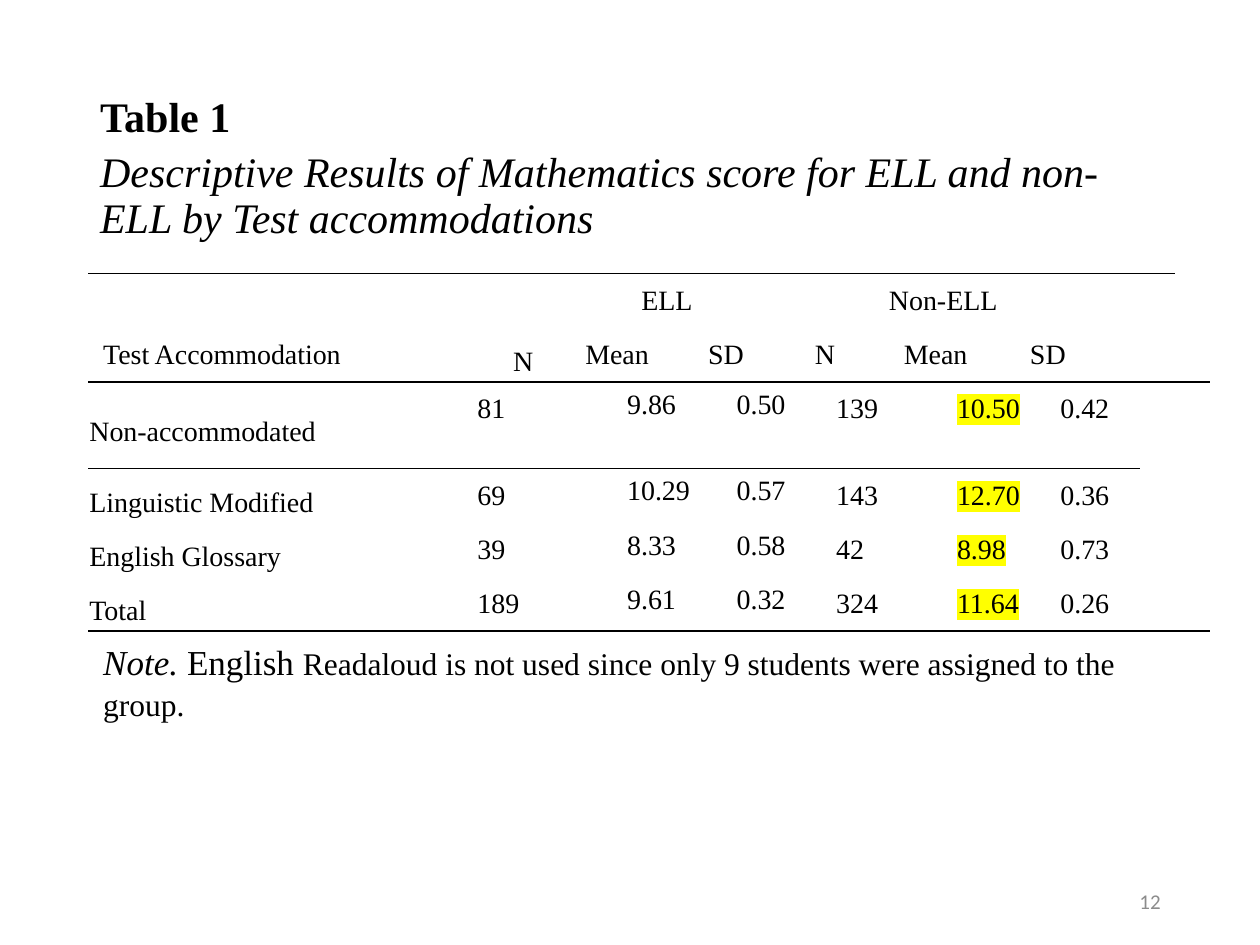
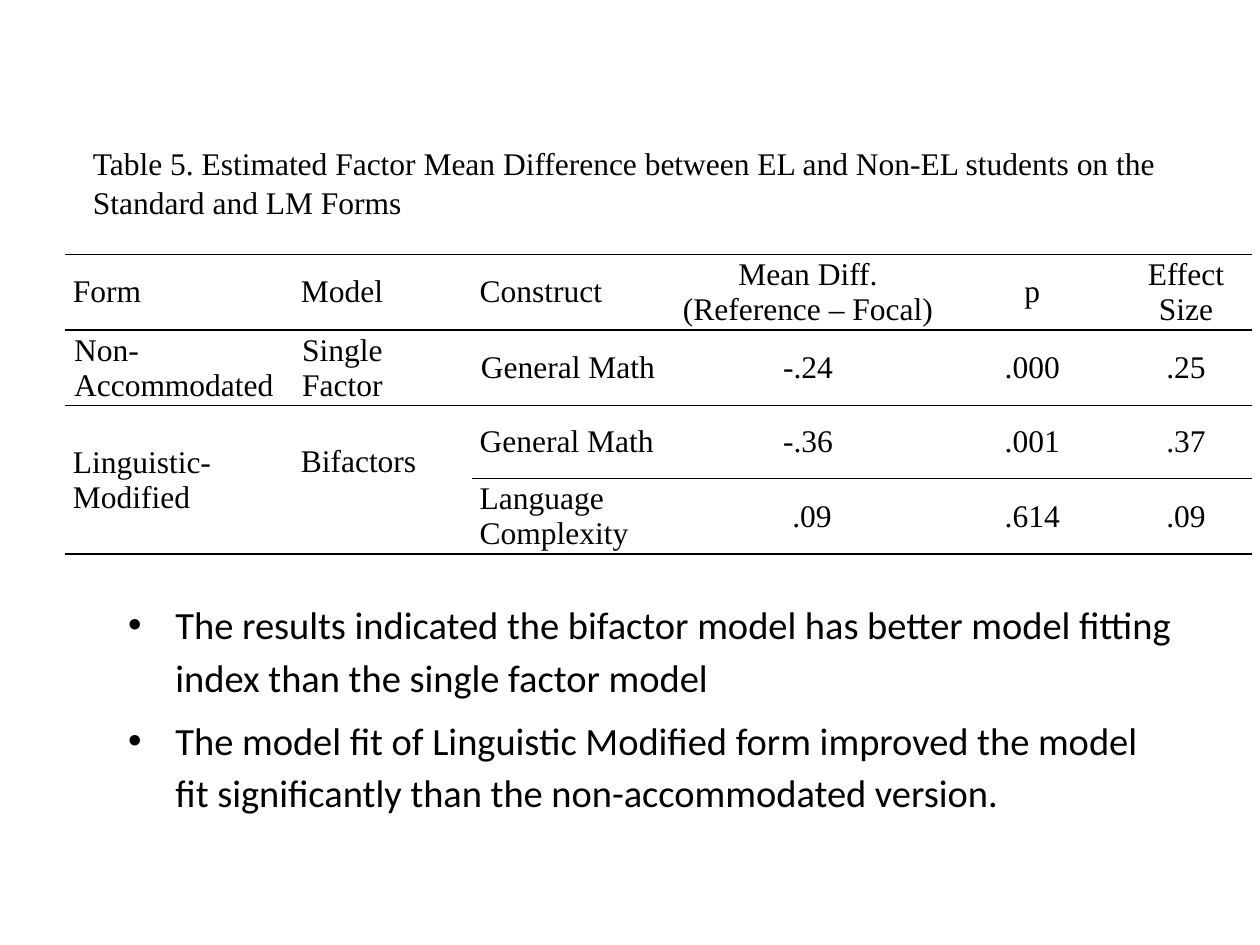
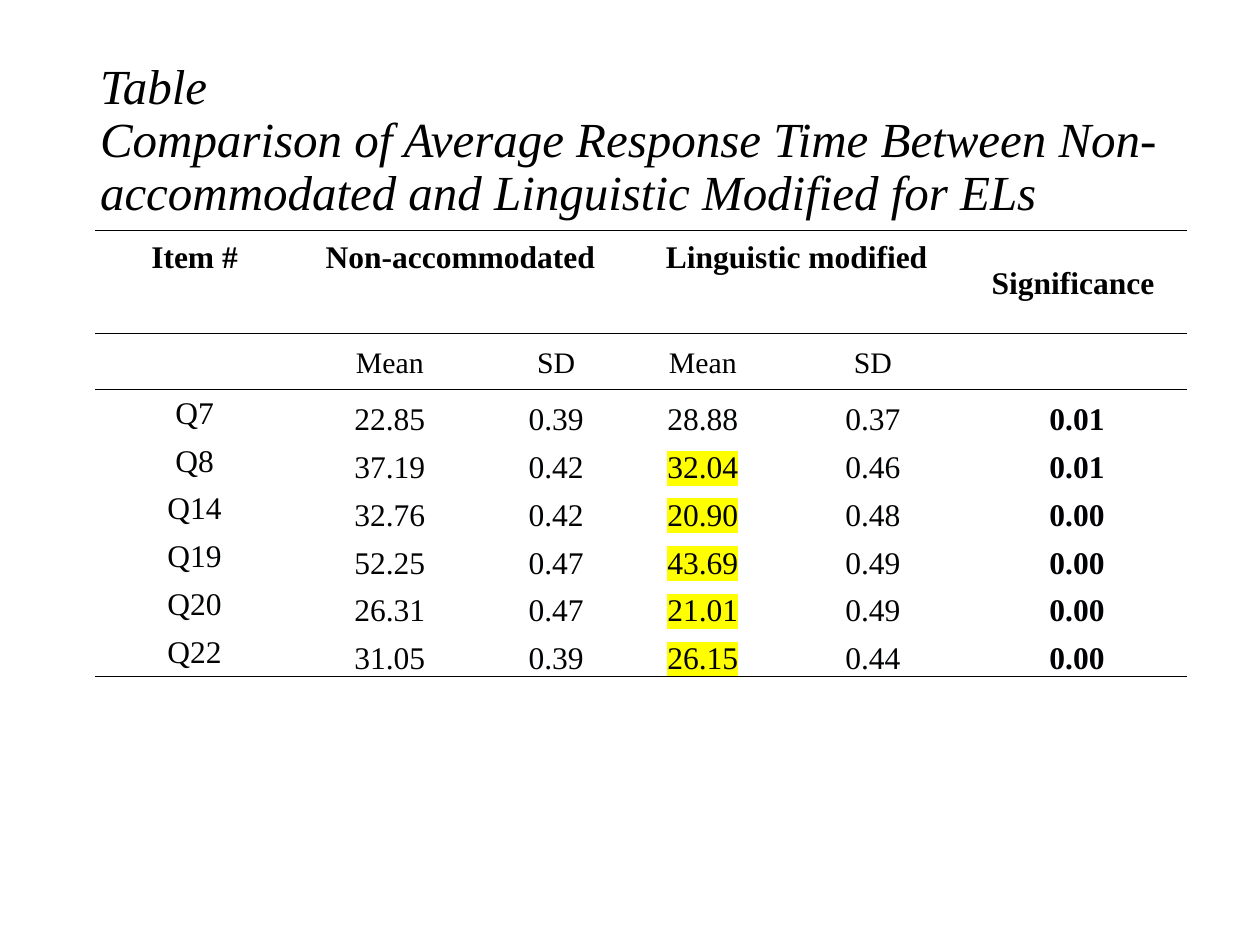
from lxml import etree
from pptx import Presentation
from pptx.dml.color import RGBColor
from pptx.enum.text import MSO_ANCHOR, MSO_AUTO_SIZE, PP_ALIGN
from pptx.oxml.ns import qn
from pptx.util import Pt

SERIF, SANS = "Times New Roman", "Calibri"
BLACK, INK, GREY, YELLOW = "000000", "010204", "8C8C8C", "FFFF00"
LEFT, CENTER, RIGHT = PP_ALIGN.LEFT, PP_ALIGN.CENTER, PP_ALIGN.RIGHT
TOP, MIDDLE, BOTTOM = MSO_ANCHOR.TOP, MSO_ANCHOR.MIDDLE, MSO_ANCHOR.BOTTOM
THICK, THIN = 1, 0.75
NO_STYLE_ID = "{2D5ABB26-0587-4C30-8999-92F81FD0307C}"

# Slide 1: descriptive results
SCORES_TITLE = ["Table 1", "Descriptive Results of Mathematics score for ELL and "
                "non-ELL by Test accommodations"]
# each row: (text, columns spanned)
SCORES_GROUPS = [("", 2), ("", 1), ("ELL", 4), ("", 2), ("Non-ELL", 4), ("", 2), ("", 1)]
SCORES_HEADS = [("Test Accommodation", 2), ("N", 1), ("Mean", 2), ("SD", 2), ("N", 2),
                ("Mean", 2), ("SD", 2), ("", 2), ("", 1)]
SCORES_SPANS = [1, 3, 2, 2, 2, 2, 2, 2]
SCORES = [
    ("Non-accommodated", "81", "9.86", "0.50", "139", "10.50", "0.42", ""),
    ("Linguistic Modified", "69", "10.29", "0.57", "143", "12.70", "0.36", ""),
    ("English Glossary", "39", "8.33", "0.58", "42", "8.98", "0.73", ""),
    ("Total", "189", "9.61", "0.32", "324", "11.64", "0.26", ""),
]
SCORES_NOTE = [("Note. ", 20, True), ("English ", 20, False),
               ("Readaloud is not used since only 9 students were assigned to the group.", 18, False)]
SCORES_WIDTHS = [213.8, 20, 34.6, 31, 36.7, 25.9, 31, 25.9, 30.2, 38.9, 31.7, 27.4,
                 30.2, 23.8, 19.4, 19.4]
SCORES_HEIGHTS = [31, 31, 49.5, 31, 31, 31, 63]
PAGE_NUMBER = "12"

# Slide 2: factor mean differences
FACTORS_CAPTION = ("Table 5. Estimated Factor Mean Difference between EL and Non-EL "
                   "students on the Standard and LM Forms")
FACTORS = [
    ("Form", "Model", "Construct", "Mean Diff.\n(Reference – Focal)", "p", "Effect\nSize"),
    ("Non-Accommodated", "Single Factor", "General Math", "-.24", ".000", ".25"),
    ("Linguistic-Modified", "Bifactors", "General Math", "-.36", ".001", ".37"),
    (None, None, "Language Complexity", " .09", ".614", ".09"),
]
FACTORS_WIDTHS = [130.3, 102.2, 113.8, 156.2, 100.1, 75.6]
FINDINGS = [
    "The results indicated the bifactor model has better model fitting index than the "
    "single factor model",
    "The model fit of Linguistic Modified form improved the model fit significantly than "
    "the non-accommodated version.",
]

# Slide 3: response times
TIMES_TITLE = ("Table \vComparison of Average Response Time Between Non-accommodated and "
               "Linguistic Modified for ELs")
TIMES_GROUPS = [("Item #", 1), ("Non-accommodated", 2), ("Linguistic modified", 2),
                ("Significance ", 1)]
TIMES_HEADS = ["", "Mean", "SD", "Mean", "SD", ""]
TIMES = [
    ("Q7", "22.85", "0.39", "28.88", "0.37", "0.01"),
    ("Q8", "37.19", "0.42", "32.04", "0.46", "0.01"),
    ("Q14", "32.76", "0.42", "20.90", "0.48", "0.00"),
    ("Q19", "52.25", "0.47", "43.69", "0.49", "0.00"),
    ("Q20", "26.31", "0.47", "21.01", "0.49", "0.00"),
    ("Q22", "31.05", "0.39", "26.15", "0.44", "0.00"),
]
TIMES_WIDTHS = [113.8, 109.4, 80.6, 87.1, 107.3, 126]
TIMES_HEIGHTS = [59, 32] + [27.3] * len(TIMES)


# Shared helpers
def rgb(color):
    return RGBColor.from_string(color)


def format_run(run, size, color=BLACK, font=SERIF, bold=False, italic=False, highlight=None):
    run.font.name, run.font.size = font, Pt(size)
    run.font.bold, run.font.italic = bold, italic
    run.font.color.rgb = rgb(color)
    if highlight:
        mark = etree.Element(qn("a:highlight"))
        etree.SubElement(mark, qn("a:srgbClr"), val=highlight)
        run.font._element.find(qn("a:solidFill")).addnext(mark)


def format_text(frame, align=LEFT, spacing=1.0, after=0, **run_style):
    for paragraph in frame.paragraphs:
        paragraph.alignment, paragraph.line_spacing = align, spacing
        paragraph.space_after = Pt(after)
        for run in paragraph.runs:
            format_run(run, **run_style)


def place(shape, left, top, width, height):
    shape.left, shape.top = Pt(left), Pt(top)
    shape.width, shape.height = Pt(width), Pt(height)


def add_title(slide, text, top, **style):
    title = slide.shapes.title
    place(title, 50, top, 620.6, 104.4)
    frame = title.text_frame
    frame.text = text
    frame.auto_size, frame.vertical_anchor = MSO_AUTO_SIZE.NONE, MIDDLE
    format_text(frame, spacing=0.9, **style)
    return frame


def add_text(slide, text, box, anchor=TOP, **style):
    frame = slide.shapes.add_textbox(*map(Pt, box)).text_frame
    frame.word_wrap, frame.vertical_anchor = True, anchor
    frame.text = text
    format_text(frame, **style)
    return frame


def add_table(slide, left, top, widths, heights):
    frame = slide.shapes.add_table(len(heights), len(widths), Pt(left), Pt(top),
                                   Pt(sum(widths)), Pt(sum(heights)))
    table = frame.table
    table.first_row = table.horz_banding = False
    table._tbl.tblPr.find(qn("a:tableStyleId")).text = NO_STYLE_ID
    for column, width in zip(table.columns, widths):
        column.width = Pt(width)
    for row, height in zip(table.rows, heights):
        row.height = Pt(height)
    for cell in table.iter_cells():
        cell.fill.background()
    return table


def fill_cell(cell, text, insets, anchor=TOP, **style):
    cell.margin_left, cell.margin_top, cell.margin_right, cell.margin_bottom = map(Pt, insets)
    cell.vertical_anchor = anchor
    if text:
        cell.text_frame.text = text
        format_text(cell.text_frame, **style)


def spanned_cells(table, row, spans):
    """Merge the row by the given spans and yield the first cell of each."""
    column = 0
    for span in spans:
        cell = table.cell(row, column)
        if span > 1:
            cell.merge(table.cell(row, column + span - 1))
        yield cell
        column += span


def draw_edge(cell, side, width):
    edge = etree.Element(qn(f"a:{side}"), w=str(Pt(width)))
    fill = etree.SubElement(edge, qn("a:solidFill"))
    etree.SubElement(fill, qn("a:srgbClr"), val=BLACK)
    cell._tc.tcPr[-1].addprevious(edge)


def draw_rules(table, rules):
    """Rules run from top to bottom: (row below the line, first column, end column, width)."""
    for row, first, end, width in rules:
        for column in range(first, end):
            if row > 0:
                above = row - 1
                draw_edge(table.cell(above, column), "lnB", width)
                while table.cell(above, column)._tc.vMerge:
                    above -= 1
                    draw_edge(table.cell(above, column), "lnB", width)
            if row < len(table.rows):
                draw_edge(table.cell(row, column), "lnT", width)


def build_scores(slide):
    frame = add_title(slide, "\n".join(SCORES_TITLE), 59.8, size=24, after=6)
    frame.margin_bottom = Pt(34.4)
    name, subject = frame.paragraphs
    name.runs[0].font.bold = subject.runs[0].font.italic = True

    table = add_table(slide, 50.4, 156.2, SCORES_WIDTHS, SCORES_HEIGHTS)
    wide, label = (8.6, 4.3, 8.6, 4.3), (0.7, 5.8, 5.8, 0)
    for row, heads in enumerate([SCORES_GROUPS, SCORES_HEADS]):
        cells = spanned_cells(table, row, [span for _, span in heads])
        for cell, (text, span) in zip(cells, heads):
            narrow = text == "N" and span == 1
            fill_cell(cell, text, label if narrow else wide, MIDDLE if narrow else TOP, size=16,
                      align=LEFT if text in ("Test Accommodation", "Non-ELL") else CENTER,
                      spacing=1.15)
    for row, scores in enumerate(SCORES, 2):
        for part, cell in enumerate(spanned_cells(table, row, SCORES_SPANS)):
            fill_cell(cell, scores[part], wide if part else label, TOP if part else MIDDLE,
                      size=16, spacing=1.0 if part in (2, 3) else 1.15,
                      highlight=YELLOW if part == 5 else None)

    # Note under the scores
    note = next(spanned_cells(table, 6, [15, 1]))
    fill_cell(note, "", wide)
    paragraph = note.text_frame.paragraphs[0]
    paragraph.line_spacing = 1.15
    for text, size, italic in SCORES_NOTE:
        run = paragraph.add_run()
        run.text = text
        format_run(run, size, italic=italic)
    draw_rules(table, [(0, 0, 15, THICK), (2, 0, 14, THICK), (6, 0, 16, THIN)])
    add_text(slide, PAGE_NUMBER, (508.3, 500.4, 162, 28.8), MIDDLE, align=RIGHT,
             size=12, color=GREY, font=SANS)


def build_factors(slide):
    table = add_table(slide, 37.4, 145.4, FACTORS_WIDTHS, [41.6] * len(FACTORS))
    for row, values in enumerate(FACTORS):
        side = 5 if row == 1 else 4.3
        for column, text in enumerate(values):
            below = 20.7 if text == "Bifactors" else 0
            fill_cell(table.cell(row, column), text, (side, 0, side, below), MIDDLE, size=18,
                      align=CENTER if column > 2 else LEFT)
    for column in (0, 1):
        table.cell(2, column).merge(table.cell(3, column))
    draw_rules(table, [(0, 0, 6, THICK), (1, 0, 6, THICK), (2, 0, 6, THIN),
                       (3, 2, 6, THIN), (4, 0, 6, THICK)])

    caption = add_text(slide, FACTORS_CAPTION, (46, 76.3, 637.2, 72.7), size=18, spacing=1.04)
    caption.margin_top = Pt(5)

    # Bulleted findings
    findings = add_text(slide, "\n".join(FINDINGS), (66.2, 336.2, 614.2, 133.2),
                        size=22, font=SANS, spacing=1.14, after=6)
    for paragraph in findings.paragraphs:
        properties = paragraph._p.get_or_add_pPr()
        properties.set("marL", str(Pt(27)))
        properties.set("indent", str(-Pt(27)))
        etree.SubElement(properties, qn("a:buFont"), typeface="Arial")
        etree.SubElement(properties, qn("a:buChar"), char="•")


def build_times(slide):
    add_title(slide, TIMES_TITLE, 28.8, size=28, italic=True)
    table = add_table(slide, 54.3, 131.8, TIMES_WIDTHS, TIMES_HEIGHTS)
    tight, roomy = (7.9, 1.4, 7.9, 0), (10.8, 5.8, 10.8, 5.8)
    cells = spanned_cells(table, 0, [span for _, span in TIMES_GROUPS])
    for column, (cell, (text, _)) in enumerate(zip(cells, TIMES_GROUPS)):
        last = column == len(TIMES_GROUPS) - 1
        fill_cell(cell, text, tight if last else roomy, MIDDLE if last else TOP,
                  align=CENTER, size=18, bold=True)
    for column, text in enumerate(TIMES_HEADS):
        fill_cell(table.cell(1, column), text, tight, MIDDLE, align=CENTER, size=17)
    for row, values in enumerate(TIMES, 2):
        for column, text in enumerate(values):
            faster = column == 3 and float(text) < float(values[1])
            fill_cell(table.cell(row, column), text,
                      tight if column and row < 4 else (5, 0, 5, 0),
                      BOTTOM if column else MIDDLE, align=CENTER, size=18, color=INK,
                      bold=column == 5, highlight=YELLOW if faster else None)
    draw_rules(table, [(row, 0, 6, THIN) for row in (0, 1, len(TIMES_HEIGHTS))])


def main():
    deck = Presentation()
    deck.slide_width, deck.slide_height = Pt(720), Pt(540)
    title_only, blank = deck.slide_layouts[5], deck.slide_layouts[6]
    for layout, build in [(title_only, build_scores), (blank, build_factors),
                          (title_only, build_times)]:
        build(deck.slides.add_slide(layout))
    deck.save("out.pptx")


if __name__ == "__main__":
    main()
